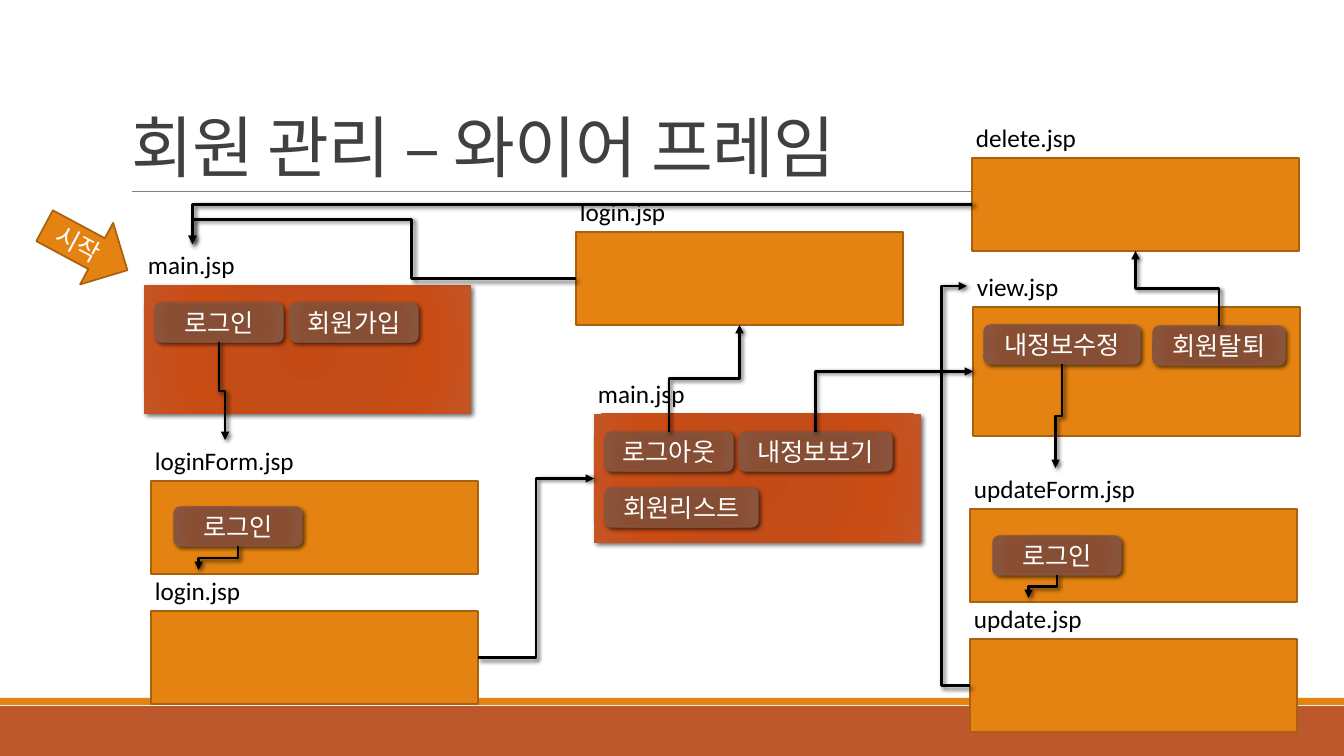
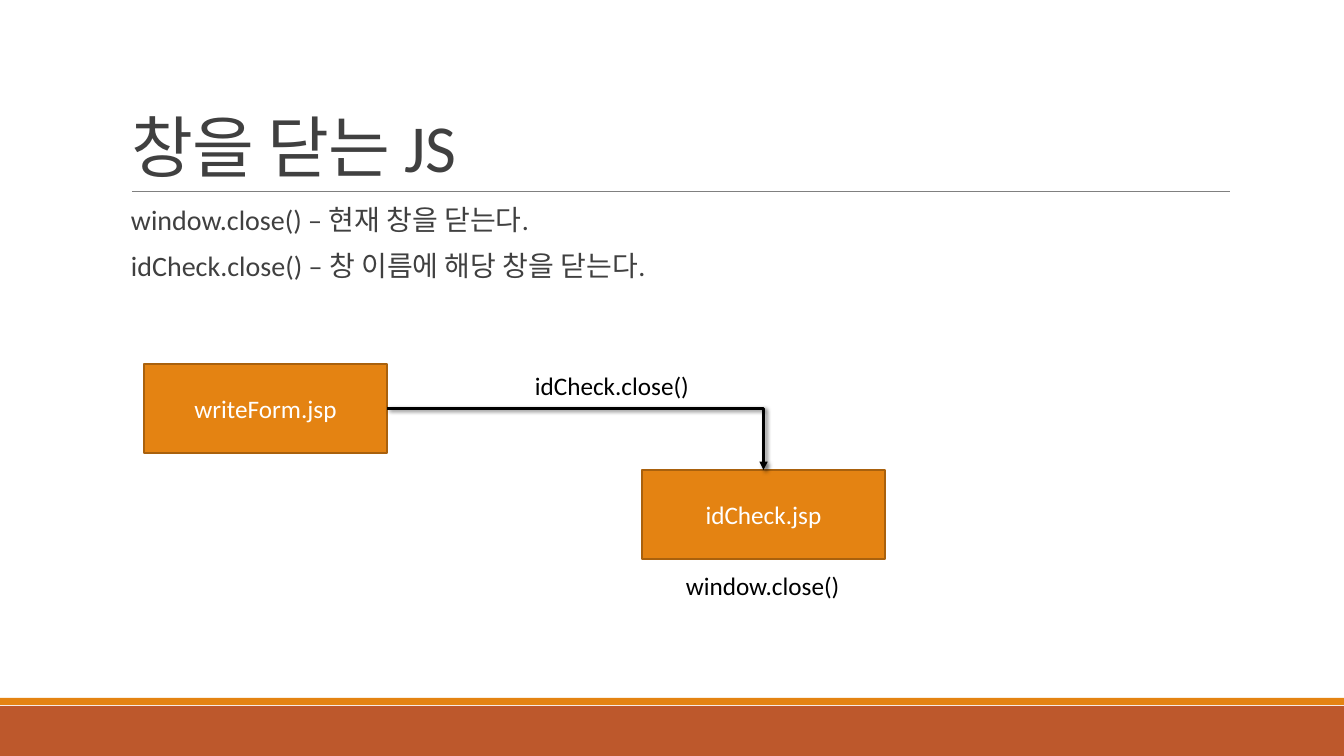
from dataclasses import dataclass

from lxml import etree
from pptx import Presentation
from pptx.dml.color import RGBColor
from pptx.enum.shapes import MSO_CONNECTOR, MSO_SHAPE
from pptx.enum.text import MSO_ANCHOR, MSO_AUTO_SIZE, PP_ALIGN
from pptx.oxml.ns import qn
from pptx.util import Pt

RECT = MSO_SHAPE.RECTANGLE
ROUND = MSO_SHAPE.ROUNDED_RECTANGLE
ARROW = MSO_SHAPE.RIGHT_ARROW
ELBOW, STRAIGHT = MSO_CONNECTOR.ELBOW, MSO_CONNECTOR.STRAIGHT
MIDDLE, BOTTOM_ANCHOR = MSO_ANCHOR.MIDDLE, MSO_ANCHOR.BOTTOM
LEFT_ALIGN, CENTER = PP_ALIGN.LEFT, PP_ALIGN.CENTER
NO_FIT, FIT_SHAPE = MSO_AUTO_SIZE.NONE, MSO_AUTO_SIZE.SHAPE_TO_FIT_TEXT

# Connection sites of a rectangle
TOP, LEFT, BOTTOM, RIGHT = range(4)

SLIDE_W, SLIDE_H = 1344, 756
EMU_PER_PX = 12192000 / SLIDE_W
TITLE_ONLY = 5
LABEL_DX, LABEL_DY, LABEL_H = -6, -41, 40
BUTTON_H = 39


@dataclass(frozen=True)
class Theme:
    font: str = "Calibri"
    title_size: int = 48
    body_size: int = 20
    label_size: int = 18
    white: str = "FFFFFF"
    black: str = "000000"
    text: str = "404040"
    rule: str = "808080"
    band: str = "BD582C"
    accent: str = "E48312"
    accent_edge: str = "A9610D"
    button_edge: str = "865640"
    main_glow: tuple = ("C44A15", "C34C18", "C94C15", "C45525")
    button_glow: tuple = ("874C32", "864E34", "8A4E33", "8A553D")
    glow_stops: tuple = (0, 34, 70, 100)


THEME = Theme()


@dataclass
class Screen:
    frame: object
    label: object
    buttons: list


def px(*lengths):
    return [round(length * EMU_PER_PX) for length in lengths]


def rgb(color):
    return RGBColor.from_string(color)


# --- Formatting helpers ---
def sub(parent, tag, **attributes):
    child = etree.SubElement(parent, qn(tag))
    for key, value in attributes.items():
        child.set(key, str(value))
    return child


def style(paragraph, size, color, align=LEFT_ALIGN):
    paragraph.alignment = align
    paragraph.font.name = THEME.font
    paragraph.font.size = Pt(size)
    paragraph.font.color.rgb = rgb(color)


def set_line(line, color, width):
    line.color.rgb = rgb(color)
    line.width = Pt(width)


def cast_shadow(shape, blur=3):
    properties = shape.element.spPr
    effects = properties.find(qn("a:effectLst"))
    if effects is None:
        effects = sub(properties, "a:effectLst")
    outer = sub(effects, "a:outerShdw", blurRad=Pt(blur), dist=Pt(2),
                dir=45 * 60000, rotWithShape=0)
    sub(sub(outer, "a:srgbClr", val=THEME.black), "a:alpha", val=60000)


def fill_radial(shape, colors):
    properties = shape.element.spPr
    gradient = sub(properties, "a:gradFill", rotWithShape=1)
    stops = sub(gradient, "a:gsLst")
    for position, color in zip(THEME.glow_stops, colors):
        stop = sub(stops, "a:gs", pos=position * 1000)
        sub(stop, "a:srgbClr", val=color)
    circle = sub(gradient, "a:path", path="circle")
    sub(circle, "a:fillToRect", l=100000, t=100000, r=100000, b=100000)
    properties.find(qn("a:prstGeom")).addnext(gradient)


# --- Building blocks ---
def add_block(slide, box, kind=RECT, fill=THEME.accent,
              edge=THEME.accent_edge, edge_width=1.25, text=""):
    """A preset shape; a tuple as fill gives a radial gradient."""
    block = slide.shapes.add_shape(kind, *px(*box))
    block.shadow.inherit = False
    if isinstance(fill, tuple):
        fill_radial(block, fill)
    else:
        block.fill.solid()
        block.fill.fore_color.rgb = rgb(fill)
    if edge:
        set_line(block.line, edge, edge_width)
    else:
        block.line.fill.background()
    if text:
        frame = block.text_frame
        frame.text = text
        frame.word_wrap = True
        frame.vertical_anchor = MIDDLE
        style(frame.paragraphs[0], THEME.label_size, THEME.white, CENTER)
    return block


def add_label(slide, x, y, width, text):
    label = slide.shapes.add_textbox(*px(x, y, width, LABEL_H))
    frame = label.text_frame
    frame.text = text
    frame.word_wrap = False
    frame.auto_size = FIT_SHAPE
    style(frame.paragraphs[0], THEME.label_size, THEME.black)
    return label


def add_screen(slide, box, name, label_width, buttons=(), is_main=False):
    """A page frame, its file name above it and its buttons inside it."""
    x, y = box[:2]
    if is_main:
        frame = add_block(slide, box, fill=THEME.main_glow, edge=None)
        cast_shadow(frame, 3.5)
    else:
        frame = add_block(slide, box)
    label = add_label(slide, x + LABEL_DX, y + LABEL_DY, label_width, name)
    placed = []
    for dx, dy, width, caption in buttons:
        button = add_block(slide, (x + dx, y + dy, width, BUTTON_H), ROUND,
                           THEME.button_glow, THEME.button_edge, 1, caption)
        cast_shadow(button)
        placed.append(button)
    return Screen(frame, label, placed)


def add_flow(slide, source, source_site, target, target_site,
             segments=3, bends=()):
    """An elbow arrow; bends are distances in px from the start."""
    flow = slide.shapes.add_connector(ELBOW, 0, 0, 0, 0)
    flow.begin_connect(source, source_site)
    flow.end_connect(target, target_site)
    x1, y1, x2, y2 = flow.begin_x, flow.begin_y, flow.end_x, flow.end_y
    dx, dy = x2 - x1, y2 - y1
    if source_site in (TOP, BOTTOM):
        length, rise = abs(dy), abs(dx)
        rotation = 90 if dx * dy < 0 else 270
        flip_h, flip_v = dx > 0, dy < 0
    else:
        length, rise = abs(dx), abs(dy)
        rotation = 180 if dx < 0 else 0
        flip_h, flip_v = False, dx * dy < 0

    # The unrotated box shares its centre with the drawn route
    flow.left = (x1 + x2 - length) // 2
    flow.top = (y1 + y2 - rise) // 2
    flow.width, flow.height = length, rise
    properties = flow.element.spPr
    transform = properties.find(qn("a:xfrm"))
    transform.set("rot", str(rotation * 60000))
    transform.set("flipH", str(int(flip_h)))
    transform.set("flipV", str(int(flip_v)))

    geometry = properties.find(qn("a:prstGeom"))
    geometry.set("prst", f"bentConnector{segments}")
    guides = geometry.find(qn("a:avLst"))
    if guides is None:
        guides = sub(geometry, "a:avLst")
    for index, bend in enumerate(bends):
        span = rise if index % 2 else length
        ratio = round(px(bend)[0] / span * 100000)
        sub(guides, "a:gd", name=f"adj{index + 1}", fmla=f"val {ratio}")

    set_line(flow.line, THEME.black, 2)
    sub(properties.find(qn("a:ln")), "a:tailEnd", type="triangle")
    cast_shadow(flow)


# --- Shared slide frame ---
def add_titled_slide(deck, heading):
    slide = deck.slides.add_slide(deck.slide_layouts[TITLE_ONLY])
    add_block(slide, (0, 706, SLIDE_W, 50), fill=THEME.band, edge=None)
    add_block(slide, (0, 698, SLIDE_W, 7), edge=None)
    rule = slide.shapes.add_connector(STRAIGHT, *px(132, 191, 1230, 191))
    set_line(rule.line, THEME.rule, 0.5)
    sub(rule.element.spPr, "a:effectLst")

    title = slide.shapes.title
    title.left, title.top, title.width, title.height = px(121, 31, 1109, 160)
    frame = title.text_frame
    frame.text = heading
    frame.auto_size = NO_FIT
    frame.vertical_anchor = BOTTOM_ANCHOR
    paragraph = frame.paragraphs[0]
    style(paragraph, THEME.title_size, THEME.text)
    paragraph.line_spacing = 0.85
    paragraph.runs[0].font.element.set("spc", "-50") if hasattr(
        paragraph.runs[0].font, "element") else \
        paragraph.runs[0]._r.get_or_add_rPr().set("spc", "-50")
    return slide


def add_wireframe_slide(deck):
    slide = add_titled_slide(deck, "회원 관리 – 와이어 프레임")
    width, low, high = 327, 93, 129

    # Login path
    main = add_screen(slide, (144, 285, width, high), "main.jsp", 109,
                      [(11, 18, 128, "로그인"), (146, 18, 128, "회원가입")], True)
    login_form = add_screen(slide, (151, 481, width, low), "loginForm.jsp",
                            160, [(23, 26, 128, "로그인")])
    login = add_screen(slide, (151, 611, width, low), "login.jsp", 107)

    # Signed-in main page and logout
    member = add_screen(slide, (594, 414, width, high), "main.jsp", 109,
                        [(11, 18, 128, "로그아웃"), (145, 18, 153, "내정보보기"),
                         (11, 74, 153, "회원리스트")], True)
    logout = add_screen(slide, (576, 232, width, low), "login.jsp", 107)

    # Member details
    view = add_screen(slide, (973, 307, width, high), "view.jsp", 103,
                      [(11, 18, 156, "내정보수정"), (180, 19, 132, "회원탈퇴")])
    update_form = add_screen(slide, (970, 509, width, low), "updateForm.jsp",
                             183, [(23, 27, 128, "로그인")])
    update = add_screen(slide, (970, 639, width, low), "update.jsp", 129)
    delete = add_screen(slide, (972, 158, width, low), "delete.jsp", 122)

    # Page flow
    flows = [
        (main.buttons[0], BOTTOM, login_form.label, TOP),
        (login_form.buttons[0], BOTTOM, login.label, TOP),
        (login.frame, RIGHT, member.frame, LEFT),
        (member.buttons[0], TOP, logout.frame, BOTTOM),
        (logout.frame, LEFT, main.label, TOP, 4, (164, 59)),
        (member.buttons[1], TOP, view.frame, LEFT, 2),
        (update_form.buttons[0], BOTTOM, update.label, TOP),
        (view.buttons[0], BOTTOM, update_form.label, TOP),
        (update.frame, LEFT, view.label, LEFT, 3, (28,)),
        (view.buttons[1], TOP, delete.frame, BOTTOM),
        (delete.frame, LEFT, main.label, TOP, 2),
    ]
    for flow in flows:
        add_flow(slide, *flow)

    start = add_block(slide, (39, 213, 94, 70), ARROW, text="시작")
    start.rotation = 28.2


def add_calls(slide, box, calls):
    body = slide.shapes.add_textbox(*px(*box))
    frame = body.text_frame
    frame.word_wrap = True
    frame.margin_left = frame.margin_right = 0
    frame.text = "\n".join(calls)
    for paragraph in frame.paragraphs:
        style(paragraph, THEME.body_size, THEME.text)
        paragraph.line_spacing = 0.8
        paragraph.space_before, paragraph.space_after = Pt(12), Pt(2)


def add_close_slide(deck):
    slide = add_titled_slide(deck, "창을 닫는 JS")
    add_calls(slide, (131, 204, 1099, 88),
              ["window.close() – 현재 창을 닫는다.",
               "idCheck.close() – 창 이름에 해당 창을 닫는다."])
    write_form = add_block(slide, (144, 364, 243, 89), text="writeForm.jsp")
    id_check = add_block(slide, (642, 470, 243, 89), text="idCheck.jsp")
    add_flow(slide, write_form, RIGHT, id_check, TOP, 2)
    add_label(slide, 525, 365, 176, "idCheck.close()")
    add_label(slide, 676, 565, 175, "window.close()")


def main():
    deck = Presentation()
    deck.slide_width, deck.slide_height = px(SLIDE_W, SLIDE_H)
    add_wireframe_slide(deck)
    add_close_slide(deck)
    deck.save("out.pptx")


if __name__ == "__main__":
    main()
